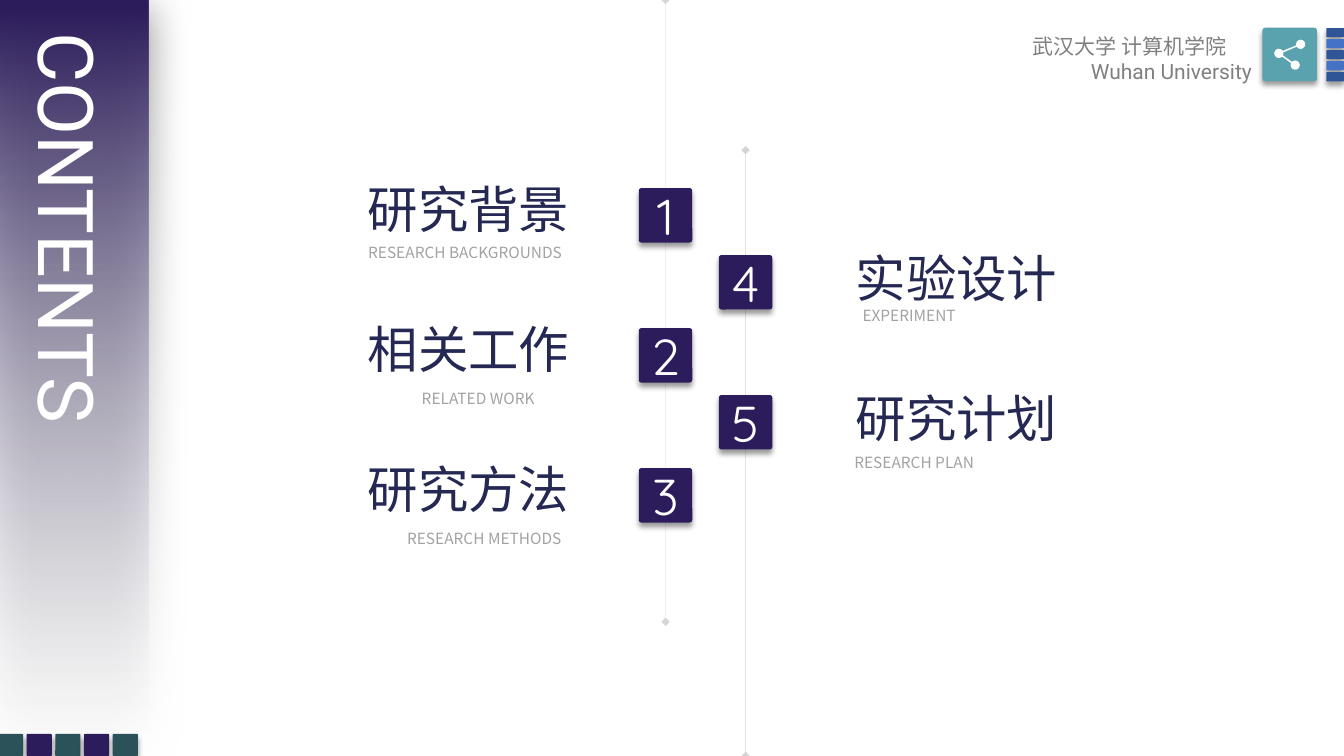
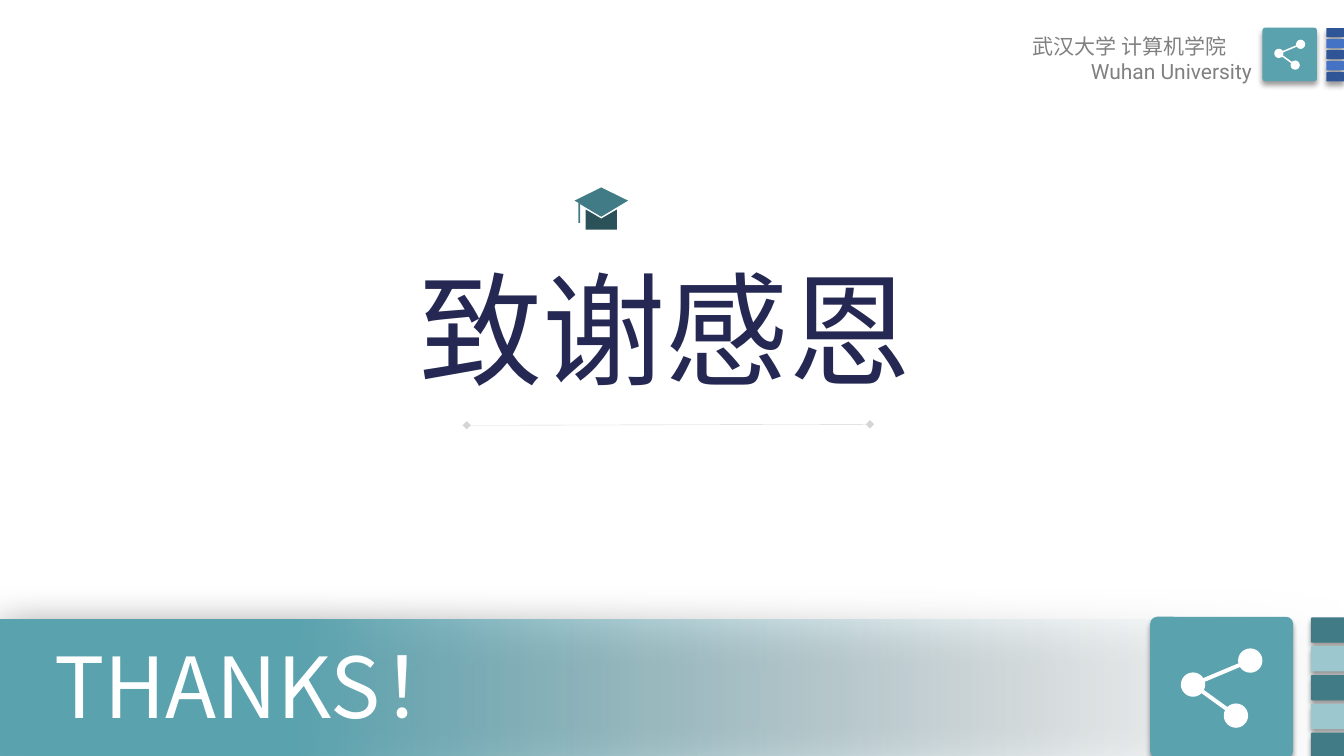
import pptx
import pptx.util
import pptx.dml.color
import pptx.enum.shapes
import pptx.enum.text
import pptx.oxml.ns
import lxml.etree

Pt = pptx.util.Pt
RGBColor = pptx.dml.color.RGBColor
SHAPE = pptx.enum.shapes.MSO_SHAPE
STRAIGHT = pptx.enum.shapes.MSO_CONNECTOR.STRAIGHT
ANCHOR = pptx.enum.text.MSO_ANCHOR
LEFT, CENTER, RIGHT = (pptx.enum.text.PP_ALIGN.LEFT, pptx.enum.text.PP_ALIGN.CENTER,
                       pptx.enum.text.PP_ALIGN.RIGHT)

PURPLE = RGBColor(0x2C, 0x1C, 0x5B)
NAVY = RGBColor(0x24, 0x28, 0x52)
TEAL = RGBColor(0x5A, 0xA2, 0xAE)
MID_TEAL = RGBColor(0x41, 0x7B, 0x85)
DARK_TEAL = RGBColor(0x2B, 0x52, 0x59)
PALE_TEAL = RGBColor(0x9C, 0xC7, 0xCE)
BLUE = RGBColor(0x44, 0x72, 0xC4)
DARK_BLUE = RGBColor(0x2F, 0x55, 0x97)
GREY = RGBColor(0x80, 0x80, 0x80)
LIGHT_GREY = RGBColor(0xA2, 0xA2, 0xA2)
MIST = RGBColor(0xF6, 0xF7, 0xFB)
WHITE = RGBColor(0xFF, 0xFF, 0xFF)

CJK, ROBOTO, QUICKSAND = "Noto Sans CJK SC", "Roboto", "Quicksand"
SLIDE_W, SLIDE_H = 960, 540
TILE_SHADOW = (40, 4, 3, 90)    # opacity, blur, distance, direction
BAND_SHADOW = (50, 31, 6, 97)


# ---- XML helpers ----
def add_xml(parent, tag, **attributes):
    child = lxml.etree.SubElement(parent, pptx.oxml.ns.qn(tag))
    for key, value in attributes.items():
        child.set(key, str(value))
    return child


def set_alpha(color_element, percent):
    add_xml(color_element, "a:alpha", val=percent * 1000)


def add_shadow(shape, opacity, blur, distance, direction):
    effects = shape.element.spPr.find(pptx.oxml.ns.qn("a:effectLst"))
    outer = add_xml(effects, "a:outerShdw", blurRad=Pt(blur), dist=Pt(distance),
                    dir=direction * 60000, algn="t", rotWithShape=0)
    set_alpha(add_xml(outer, "a:srgbClr", val="000000"), opacity)


# ---- Text and shapes ----
def write(paragraph, text, size, font, color, align=LEFT):
    paragraph.text = text
    paragraph.alignment = align
    paragraph.font.size = Pt(size)
    paragraph.font.name = font
    paragraph.font.color.rgb = color
    defaults = paragraph._p.pPr.find(pptx.oxml.ns.qn("a:defRPr"))
    add_xml(defaults, "a:ea", typeface=font)


def add_label(slide, box, text, size, font, color, align=LEFT, wrap=False):
    frame = slide.shapes.add_textbox(*map(Pt, box)).text_frame
    frame.word_wrap = wrap
    write(frame.paragraphs[0], text, size, font, color, align)
    return frame


def place_title(slide, box, text, size, font, color, wrap):
    title = slide.shapes.title
    title.left, title.top, title.width, title.height = map(Pt, box)
    frame = title.text_frame
    frame.auto_size = pptx.enum.text.MSO_AUTO_SIZE.NONE
    frame.word_wrap = wrap
    frame.vertical_anchor = ANCHOR.TOP
    write(frame.paragraphs[0], text, size, font, color)
    return title


def flat(shape, color):
    shape.shadow.inherit = False
    shape.fill.solid()
    shape.fill.fore_color.rgb = color
    shape.line.fill.background()
    return shape


def add_tile(slide, box, color):
    tile = flat(slide.shapes.add_shape(SHAPE.ROUNDED_RECTANGLE, *map(Pt, box)), color)
    tile.adjustments[0] = 0.05
    add_shadow(tile, *TILE_SHADOW)
    return tile


def add_strip(slide, first_box, step_x, step_y, colors):
    """Five tiles in a row or column, in two alternating colours."""
    left, top, width, height = first_box
    for i in range(5):
        add_tile(slide, (left + i * step_x, top + i * step_y, width, height), colors[i % 2])


def add_band(slide, box, color, position, angle):
    """A band that fades from a solid colour to clear."""
    band = slide.shapes.add_shape(SHAPE.RECTANGLE, *map(Pt, box))
    band.shadow.inherit = False
    band.line.fill.background()
    band.fill.gradient()
    band.fill.gradient_angle = angle
    clear, solid = band.fill.gradient_stops
    clear.position, clear.color.rgb = 0, MIST
    solid.position, solid.color.rgb = position, color
    set_alpha(next(band.element.spPr.iter(pptx.oxml.ns.qn("a:srgbClr"))), 0)
    add_shadow(band, *BAND_SHADOW)


def add_line(slide, start, end, color, width):
    line = slide.shapes.add_connector(STRAIGHT, *map(Pt, (*start, *end)))
    line.line.color.rgb = color
    line.line.width = Pt(width)
    add_xml(line.element.spPr, "a:effectLst")
    return line


def add_rail(slide, start, end):
    """A hairline with a diamond at each end."""
    outline = add_line(slide, start, end, GREY, 0.25).line._ln
    set_alpha(next(outline.iter(pptx.oxml.ns.qn("a:srgbClr"))), 33)
    add_xml(outline, "a:headEnd", type="diamond")
    add_xml(outline, "a:tailEnd", type="diamond")


def add_share_tile(slide, box):
    """A teal tile with three linked dots."""
    left, top, width, height = box
    add_tile(slide, box, TEAL)
    upper, hub, lower = [(left + x * width, top + y * height)
                         for x, y in ((0.7, 0.31), (0.3, 0.48), (0.6, 0.7))]
    radius = 0.085 * width
    for end in (upper, lower):
        add_line(slide, hub, end, WHITE, 0.028 * width)
    for x, y in (upper, hub, lower):
        dot = (x - radius, y - radius, 2 * radius, 2 * radius)
        flat(slide.shapes.add_shape(SHAPE.OVAL, *map(Pt, dot)), WHITE)


# ---- Shared header, kept on the layout ----
def add_header(slide, layout):
    add_strip(slide, (947.5, 20, 12.5, 6.5), 0, 7.9, (DARK_BLUE, BLUE))
    add_share_tile(slide, (901.8, 19.8, 38.9, 38.2))
    school = add_label(slide, (730.8, 20.2, 170.6, 45.4), "武汉大学 计算机学院",
                       15, CJK, GREY, wrap=True)
    write(school.add_paragraph(), "Wuhan University", 15, ROBOTO, GREY, RIGHT)
    parts = [shape for shape in slide.shapes if not shape.is_placeholder]
    for number, part in enumerate(parts, start=100):
        next(part.element.iter(pptx.oxml.ns.qn("p:cNvPr"))).set("id", str(number))
        layout.shapes._spTree.append(part.element)


# ---- Contents slide ----
def add_side_band(slide, width):
    add_band(slide, (0, 0, width, 537), PURPLE, 0.99, 90)
    add_strip(slide, (-1.5, 524.2, 18, 15.8), 20.5, 0, (DARK_TEAL, PURPLE))
    title = place_title(slide, (8.6, 19.4, 81.4, 355.7), "CONTENTS", 55, ROBOTO, WHITE, True)
    title.text_frame._txBody.bodyPr.set("vert", "eaVert")
    title.element.getparent().append(title.element)    # in front of the band


def add_entries(slide, rail_x, first_top, heading_left, heading_rise, entries):
    """Numbered chips on a rail, each with a heading and its translation."""
    for row, (number, heading, english, left, width, drop) in enumerate(entries):
        top = first_top + 100 * row
        chip = add_tile(slide, (rail_x - 19.1, top, 38.2, 38.9), PURPLE)
        chip.text_frame.vertical_anchor = ANCHOR.MIDDLE
        write(chip.text_frame.paragraphs[0], number, 36, QUICKSAND, WHITE, CENTER)
        heading_top = top - heading_rise
        add_label(slide, (heading_left, heading_top, 159.8, 51), heading, 36, CJK, NAVY)
        add_label(slide, (left, heading_top + drop, width, 20.9), english,
                  11, CJK, LIGHT_GREY, CENTER)


def build_contents(slide):
    left_rail, right_rail = 475.4, 532.6
    add_rail(slide, (right_rail, 107.3), (right_rail, SLIDE_H))
    add_rail(slide, (left_rail, 0), (left_rail, 444.2))
    add_side_band(slide, 105.8)
    add_entries(slide, left_rail, 134.4, 255.6, 11, [
        ("1", "研究背景", "RESEARCH BACKGROUNDS", 252, 160.6, 46.6),
        ("2", "相关工作", "RELATED WORK", 291.6, 100, 50.9),
        ("3", "研究方法", "RESEARCH METHODS", 280.8, 130.4, 51),
    ])
    add_entries(slide, right_rail, 182.2, 604.1, 9.4, [
        ("4", "实验设计", "EXPERIMENT", 607.7, 83.5, 42.5),
        ("5", "研究计划", "RESEARCH PLAN", 601.2, 103.7, 47.6),
    ])


# ---- Thanks slide ----
def add_graduation_cap(slide, left, top):
    board = [(5.8, 13), (19.1, 20.9), (38.2, 9.4), (19.1, 0), (0, 9.4),
             (2.7, 10.8), (2.7, 25.2), (4.1, 25.2), (4.1, 11.8)]
    base = [(28.8, 16.6), (19.1, 22.3), (9.4, 16.6), (7.9, 15.8),
            (7.9, 30.2), (30.2, 30.2), (30.2, 15.8)]
    for outline, color in ((board, MID_TEAL), (base, DARK_TEAL)):
        points = [(Pt(left + x), Pt(top + y)) for x, y in outline]
        builder = slide.shapes.build_freeform(*points[0])
        builder.add_line_segments(points[1:], close=True)
        flat(builder.convert_to_shape(), color)


def add_thanks_band(slide, top):
    add_band(slide, (0, top, SLIDE_W, SLIDE_H - top), TEAL, 0.78, 180)
    add_strip(slide, (936.4, top - 1.8, 28.8, 18), 0, 20.6, (MID_TEAL, PALE_TEAL))
    add_label(slide, (31.7, top + 7.2, 489.6, 80), "THANKS！", 60, CJK, WHITE, wrap=True)
    add_share_tile(slide, (821.5, top - 2.2, 102.2, 100.8))


def build_thanks(slide):
    place_title(slide, (292.3, 177.1, 370.1, 113.8), "致谢感恩", 88, CJK, NAVY, False)
    add_rail(slide, (333.4, 303.8), (621.4, 303.1))
    add_thanks_band(slide, 442.8)
    add_graduation_cap(slide, 410.4, 133.9)


def main():
    deck = pptx.Presentation()
    deck.slide_width, deck.slide_height = Pt(SLIDE_W), Pt(SLIDE_H)
    layout = deck.slide_layouts[5]
    contents, thanks = [deck.slides.add_slide(layout) for _ in range(2)]
    add_header(contents, layout)
    build_contents(contents)
    build_thanks(thanks)
    deck.save("out.pptx")


if __name__ == "__main__":
    main()
